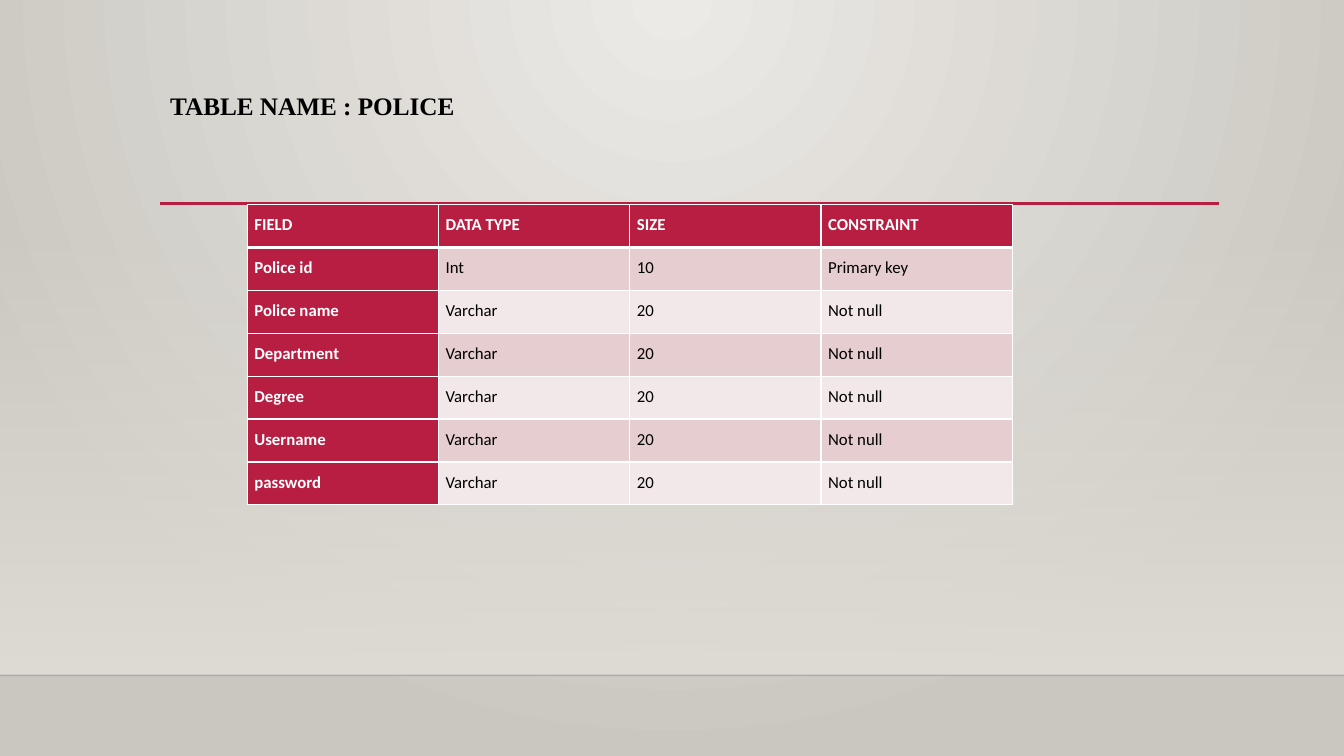
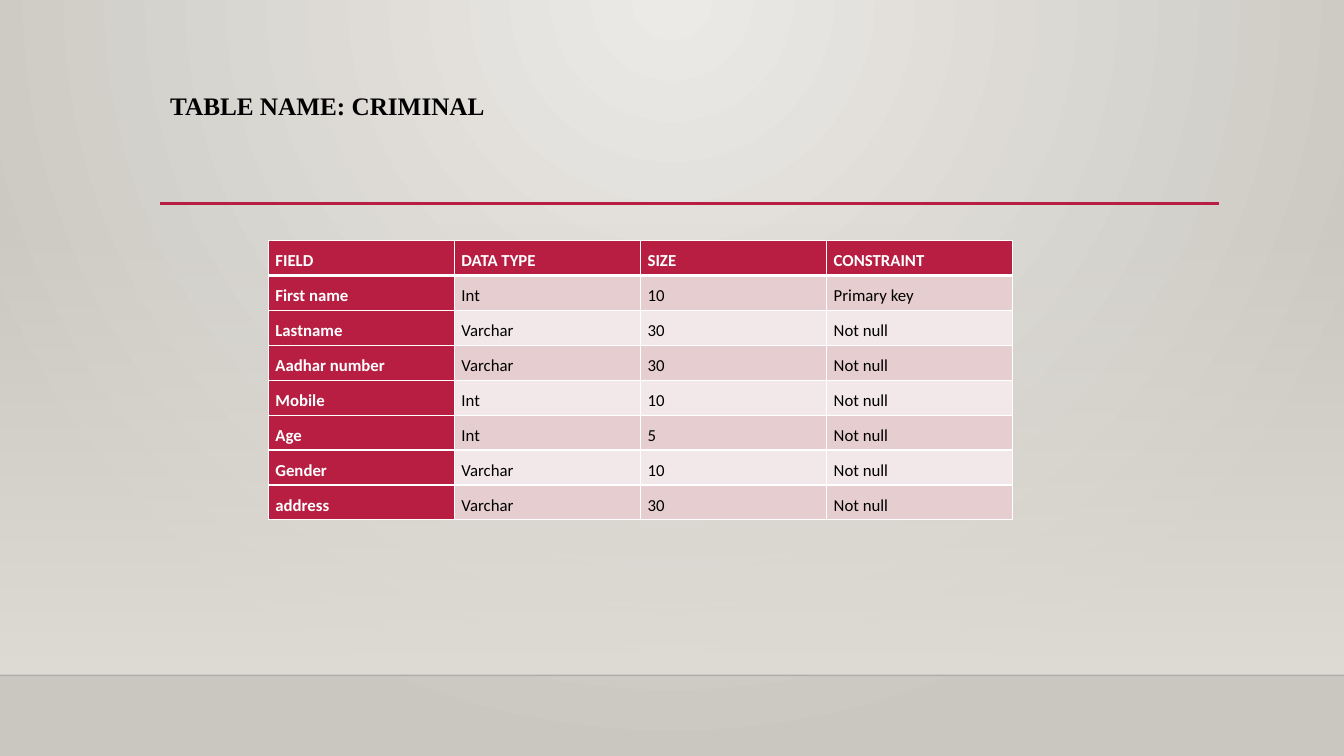
"""Build two slides that describe database tables."""
from lxml.etree import SubElement
from pptx import Presentation
from pptx.dml.color import RGBColor
from pptx.enum.shapes import MSO_CONNECTOR as Connector, MSO_SHAPE as Preset
from pptx.enum.text import MSO_ANCHOR as Anchor
from pptx.oxml.ns import qn
from pptx.util import Cm, Pt

CRIMSON = RGBColor(0xB7, 0x1E, 0x42)
WHITE = RGBColor(0xFF, 0xFF, 0xFF)
BLACK = RGBColor(0x00, 0x00, 0x00)
PINK = RGBColor(0xE6, 0xCD, 0xCF)
PALE_PINK = RGBColor(0xF3, 0xE8, 0xE9)
LIGHT_STONE = RGBColor(0xEC, 0xEA, 0xE7)
DARK_STONE = RGBColor(0xCA, 0xC7, 0xC1)
BAND_STONE = RGBColor(0xDF, 0xDB, 0xD5)

SLIDE_WIDTH, SLIDE_HEIGHT = Cm(33.87), Cm(19.05)
MARGIN = Cm(4.04)
RULE_Y, FLOOR_Y = Cm(5.13), Cm(17.02)
BAND_TOP = Cm(5.61)

HEADER = ("FIELD", "DATA TYPE", "SIZE", "CONSTRAINT")
POLICE = (
    ("Police id", "Int", "10", "Primary key"),
    ("Police name", "Varchar", "20", "Not null"),
    ("Department", "Varchar", "20", "Not null"),
    ("Degree", "Varchar", "20", "Not null"),
    ("Username", "Varchar", "20", "Not null"),
    ("password", "Varchar", "20", "Not null"),
)
CRIMINAL = (
    ("First name", "Int", "10", "Primary key"),
    ("Lastname", "Varchar", "30", "Not null"),
    ("Aadhar number", "Varchar", "30", "Not null"),
    ("Mobile", "Int", "10", "Not null"),
    ("Age", "Int", "5", "Not null"),
    ("Gender", "Varchar", "10", "Not null"),
    ("address", "Varchar", "30", "Not null"),
)


def set_gradient(fill, start, end):
    """Give a fill a gradient of two colours."""
    fill.gradient()
    for stop, color in zip(fill.gradient_stops, (start, end)):
        stop.color.rgb = color


def set_alpha(element, percent):
    """Set the opacity of the first colour inside an element."""
    color = next(element.iter(qn("a:srgbClr")))
    SubElement(color, qn("a:alpha"), val=str(percent * 1000))


def paint_background(slide):
    """Fill the slide with a glow from the middle of its top edge."""
    set_gradient(slide.background.fill, LIGHT_STONE, DARK_STONE)
    gradient = next(slide.element.iter(qn("a:gradFill")))
    gradient.remove(gradient.find(qn("a:lin")))
    glow = SubElement(gradient, qn("a:path"), {"path": "circle"})
    SubElement(glow, qn("a:fillToRect"), l="43000", t="0", r="43000", b="100000")


def add_band(slide):
    """Add the band that fades in towards the floor line."""
    band = slide.shapes.add_shape(
        Preset.RECTANGLE, 0, BAND_TOP, SLIDE_WIDTH, FLOOR_Y - BAND_TOP)
    band.shadow.inherit = False
    band.line.fill.background()
    set_gradient(band.fill, BAND_STONE, BAND_STONE)
    band.fill.gradient_angle = 270
    set_alpha(band.element.spPr, 0)


def add_rule(slide, left, right, y, color, width):
    """Add a horizontal line and return it."""
    rule = slide.shapes.add_connector(Connector.STRAIGHT, left, y, right, y)
    rule.line.color.rgb = color
    rule.line.width = Pt(width)
    SubElement(rule.element.spPr, qn("a:effectLst"))
    return rule


def style_text(text_frame, font_name, size, color, bold, spacing):
    """Format the only paragraph of a text frame."""
    paragraph = text_frame.paragraphs[0]
    paragraph.line_spacing = spacing
    font = paragraph.runs[0].font
    font.name, font.size, font.bold = font_name, Pt(size), bold
    font.color.rgb = color


def add_title(slide, text):
    """Add the slide title above the red rule."""
    title = slide.shapes.add_textbox(MARGIN, Cm(2.24), Cm(26.67), Cm(2.92))
    text_frame = title.text_frame
    text_frame.word_wrap = True
    text_frame.vertical_anchor = Anchor.TOP
    text_frame.text = text
    style_text(text_frame, "Times New Roman", 18, BLACK, True, 0.9)


def set_borders(cell, top, bottom):
    """Draw white borders around a cell, with widths in points."""
    properties = cell._tc.get_or_add_tcPr()
    for side, width in (("L", 1), ("R", 1), ("T", top), ("B", bottom)):
        border = SubElement(properties, qn(f"a:ln{side}"), w=str(Pt(width)))
        fill = SubElement(border, qn("a:solidFill"))
        SubElement(fill, qn("a:srgbClr"), val=str(WHITE))


def style_cell(cell, row, column):
    """Format a cell by its place in the table."""
    heading = row == 0 or column == 0
    cell.margin_left = cell.margin_right = Cm(0.18)
    cell.margin_top = cell.margin_bottom = 0
    cell.vertical_anchor = Anchor.TOP
    set_borders(cell, 3 if row == 1 else 1, 3 if row == 0 else 1)
    cell.fill.solid()
    cell.fill.fore_color.rgb = CRIMSON if heading else PINK if row % 2 else PALE_PINK
    style_text(cell.text_frame, "Calibri", 12, WHITE if heading else BLACK, heading, 1.5)


def add_field_table(slide, fields, left, top, column_width, row_height):
    """Add the table that lists the fields under a header row."""
    rows = (HEADER, *fields)
    table = slide.shapes.add_table(
        len(rows), len(HEADER), left, top,
        column_width * len(HEADER), row_height * len(rows)).table
    for column in table.columns:
        column.width = column_width
    for row, values in enumerate(rows):
        table.rows[row].height = row_height
        for column, value in enumerate(values):
            cell = table.cell(row, column)
            cell.text_frame.text = value
            style_cell(cell, row, column)


def add_slide(presentation, title):
    """Add a slide with the shared background, lines and title."""
    slide = presentation.slides.add_slide(presentation.slide_layouts[6])
    paint_background(slide)
    add_band(slide)
    floor = add_rule(slide, 0, SLIDE_WIDTH, FLOOR_Y, BLACK, 1)
    set_alpha(floor.element.spPr, 20)
    add_rule(slide, MARGIN, Cm(30.73), RULE_Y, CRIMSON, 2.5)
    add_title(slide, title)
    return slide


def main():
    """Build and save the presentation."""
    presentation = Presentation()
    presentation.slide_width, presentation.slide_height = SLIDE_WIDTH, SLIDE_HEIGHT

    police = add_slide(presentation, "TABLE NAME : POLICE")
    add_field_table(police, POLICE, Cm(6.23), Cm(5.16), Cm(4.82), Cm(1.08))

    criminal = add_slide(presentation, "TABLE NAME: CRIMINAL")
    add_field_table(criminal, CRIMINAL, Cm(6.76), Cm(6.06), Cm(4.69), Cm(0.88))

    presentation.save("out.pptx")


if __name__ == "__main__":
    main()
